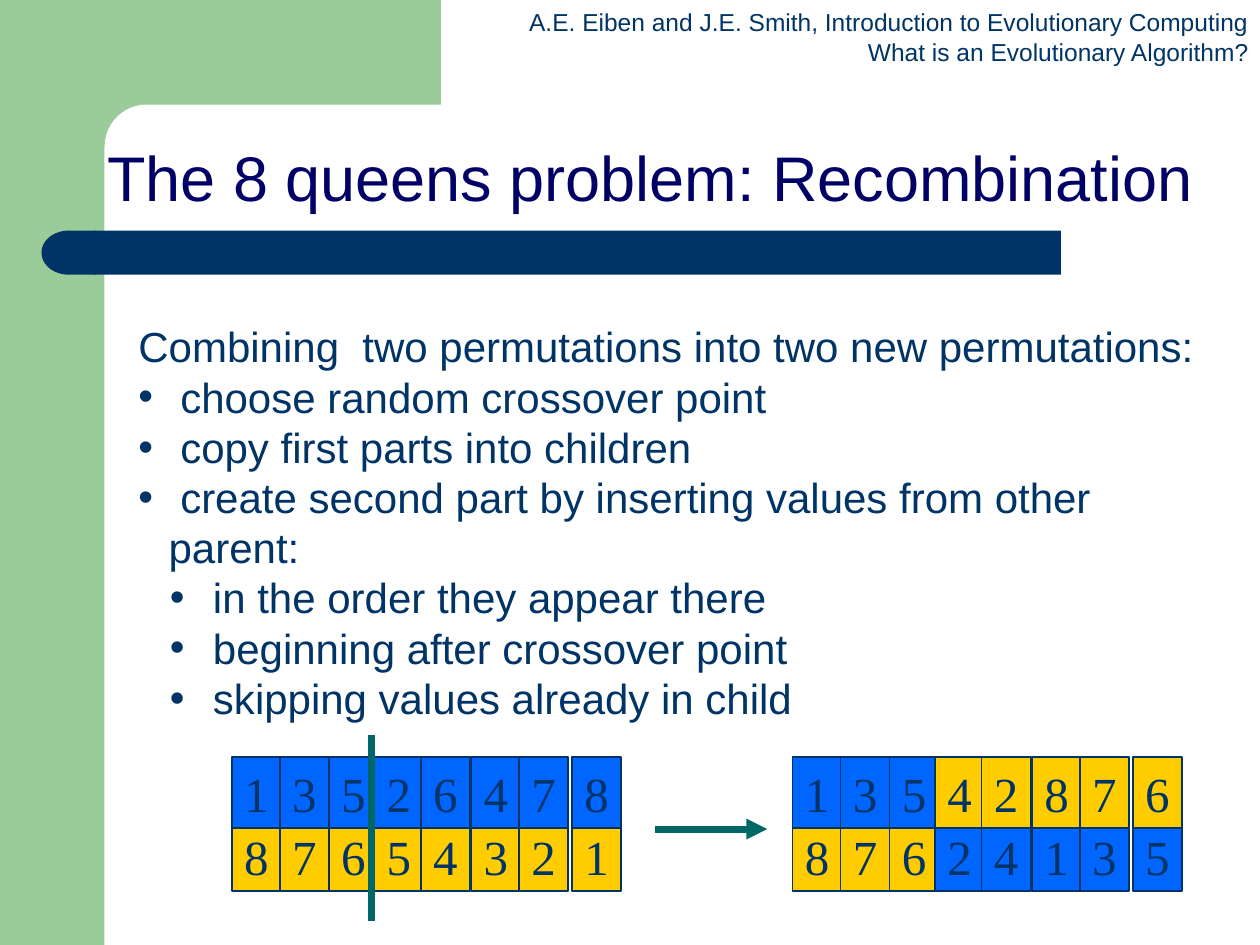
"""Build the slide on recombination in the 8 queens problem."""
from pptx import Presentation
from pptx.dml.color import RGBColor
from pptx.enum import shapes, text
from pptx.oxml.ns import qn
from pptx.util import Inches, Pt
from lxml import etree

NAVY = RGBColor(0x00, 0x33, 0x66)
TITLE_BLUE = RGBColor(0x00, 0x00, 0x66)
GREEN = RGBColor(0x99, 0xCC, 0x99)
TEAL = RGBColor(0x00, 0x66, 0x66)
BLUE = RGBColor(0x00, 0x66, 0xFF)
YELLOW = RGBColor(0xFF, 0xCC, 0x00)
WHITE = RGBColor(0xFF, 0xFF, 0xFF)

SOURCE = [
    "A.E. Eiben and J.E. Smith, Introduction to Evolutionary Computing",
    "What is an Evolutionary Algorithm?",
]
STEPS = [
    ("Combining  two permutations into two new permutations:", None),
    (" choose random crossover point", 0),
    (" copy first parts into children", 0),
    (" create second part by inserting values from other parent:", 0),
    (" in the order they appear there", 1),
    (" beginning after crossover point", 1),
    (" skipping values already in child", 1),
]
BULLET_INDENTS = [(0.24, 0.24), (0.5, 0.25)]
GENE_OFFSETS = [0, 0.38, 0.77, 1.13, 1.5, 1.9, 2.28, 2.7]
CROSSOVER = 3
ROW_TOPS = [6.01, 6.51]
PARENTS = (1.84, [("13526478", BLUE, BLUE), ("87654321", YELLOW, YELLOW)])
CHILDREN = (6.29, [("13542876", BLUE, YELLOW), ("87624135", YELLOW, BLUE)])


def style_paragraph(paragraph, size, color, font="Arial"):
    """Format all runs of a paragraph."""
    for run in paragraph.runs:
        run.font.size = Pt(size)
        run.font.name = font
        run.font.color.rgb = color


def add_block(slide, kind, box, fill):
    """Add a filled preset shape without outline or shadow."""
    block = slide.shapes.add_shape(kind, *map(Inches, box))
    block.shadow.inherit = False
    block.fill.solid()
    block.fill.fore_color.rgb = fill
    block.line.fill.background()
    return block


def add_background(slide):
    """Add the green frame, its rounded inner corner and the title bar."""
    kinds = shapes.MSO_SHAPE
    add_block(slide, kinds.RECTANGLE, (0, 0, 0.83, 7.5), GREEN)
    add_block(slide, kinds.RECTANGLE, (0.75, 0, 2.75, 1.17), GREEN)
    corner = add_block(slide, kinds.ROUNDED_RECTANGLE, (0.83, 0.83, 5.58, 0.67), WHITE)
    corner.adjustments[0] = 0.5
    add_block(slide, kinds.RECTANGLE, (0.75, 1.83, 7.67, 0.35), NAVY)
    bar_end = add_block(slide, kinds.FLOWCHART_DELAY, (0.33, 1.83, 0.43, 0.35), NAVY)
    bar_end._element.spPr.find(qn("a:xfrm")).set("flipH", "1")


def add_title(slide, wording):
    """Fill and place the title, in front of the background."""
    title = slide.shapes.title
    title.left, title.top, title.width, title.height = map(Inches, (0.75, 0.75, 9.08, 1))
    frame = title.text_frame
    frame.text = wording
    frame.vertical_anchor = text.MSO_ANCHOR.BOTTOM
    frame.paragraphs[0].alignment = text.PP_ALIGN.LEFT
    style_paragraph(frame.paragraphs[0], 36, TITLE_BLUE)
    title._element.getparent().append(title._element)


def add_lines(slide, box, lines, size, pitch, alignment):
    """Add a text box with one paragraph per line and return its paragraphs."""
    frame = slide.shapes.add_textbox(*map(Inches, box)).text_frame
    frame.word_wrap = True
    frame.text = "\n".join(lines)
    for paragraph in frame.paragraphs:
        paragraph.alignment = alignment
        paragraph.line_spacing = Pt(pitch)
        style_paragraph(paragraph, size, NAVY)
    return frame.paragraphs


def add_bullet(paragraph, level):
    """Give a paragraph a bullet with the hanging indent of its level."""
    paragraph.level = level
    margin, hanging = BULLET_INDENTS[level]
    properties = paragraph._p.get_or_add_pPr()
    properties.set("marL", str(Inches(margin)))
    properties.set("indent", str(-Inches(hanging)))
    etree.SubElement(properties, qn("a:buFont")).set("typeface", "Arial")
    etree.SubElement(properties, qn("a:buChar")).set("char", "•")


def add_steps(slide):
    """Add the explanation with its two levels of bullets."""
    paragraphs = add_lines(slide, (1, 2.5, 8.77, 2.9), [step for step, _ in STEPS],
                           24, 28.7, text.PP_ALIGN.LEFT)
    for paragraph, (_, level) in zip(paragraphs, STEPS):
        if level is not None:
            add_bullet(paragraph, level)


def add_gene(slide, left, top, digit, fill):
    """Add one cell of a permutation."""
    gene = add_block(slide, shapes.MSO_SHAPE.RECTANGLE, (left, top, 0.39, 0.56), fill)
    gene.line.color.rgb = NAVY
    gene.line.width = Pt(1)
    frame = gene.text_frame
    frame.word_wrap = False
    frame.text = digit
    frame.paragraphs[0].alignment = text.PP_ALIGN.CENTER
    style_paragraph(frame.paragraphs[0], 28, NAVY, "Times New Roman")


def add_pair(slide, left, permutations):
    """Add two stacked permutations, the lower one behind."""
    for top, (digits, head, tail) in reversed(list(zip(ROW_TOPS, permutations))):
        for index, (offset, digit) in enumerate(zip(GENE_OFFSETS, digits)):
            fill = head if index < CROSSOVER else tail
            add_gene(slide, left + offset, top, digit, fill)


def add_line(slide, start, end, arrow=False):
    """Add a thick teal line, with an arrowhead if wanted."""
    line = slide.shapes.add_connector(shapes.MSO_CONNECTOR.STRAIGHT,
                                      *map(Inches, start + end))
    line.line.color.rgb = TEAL
    line.line.width = Pt(4)
    if arrow:
        etree.SubElement(line.line._get_or_add_ln(), qn("a:tailEnd")).set("type", "triangle")
    etree.SubElement(line._element.spPr, qn("a:effectLst"))


def main():
    """Build and save the presentation."""
    deck = Presentation()
    deck.slide_width, deck.slide_height = Inches(10), Inches(7.5)
    slide = deck.slides.add_slide(deck.slide_layouts[5])
    add_background(slide)
    add_lines(slide, (4.1, 0, 5.91, 0.57), SOURCE, 14, 17.1, text.PP_ALIGN.RIGHT)
    add_title(slide, "The 8 queens problem: Recombination")
    add_steps(slide)
    add_line(slide, (5.2, 6.58), (6.09, 6.58), arrow=True)
    add_pair(slide, *CHILDREN)
    add_pair(slide, *PARENTS)
    add_line(slide, (2.95, 5.83), (2.95, 7.31))
    deck.save("out.pptx")


if __name__ == "__main__":
    main()
